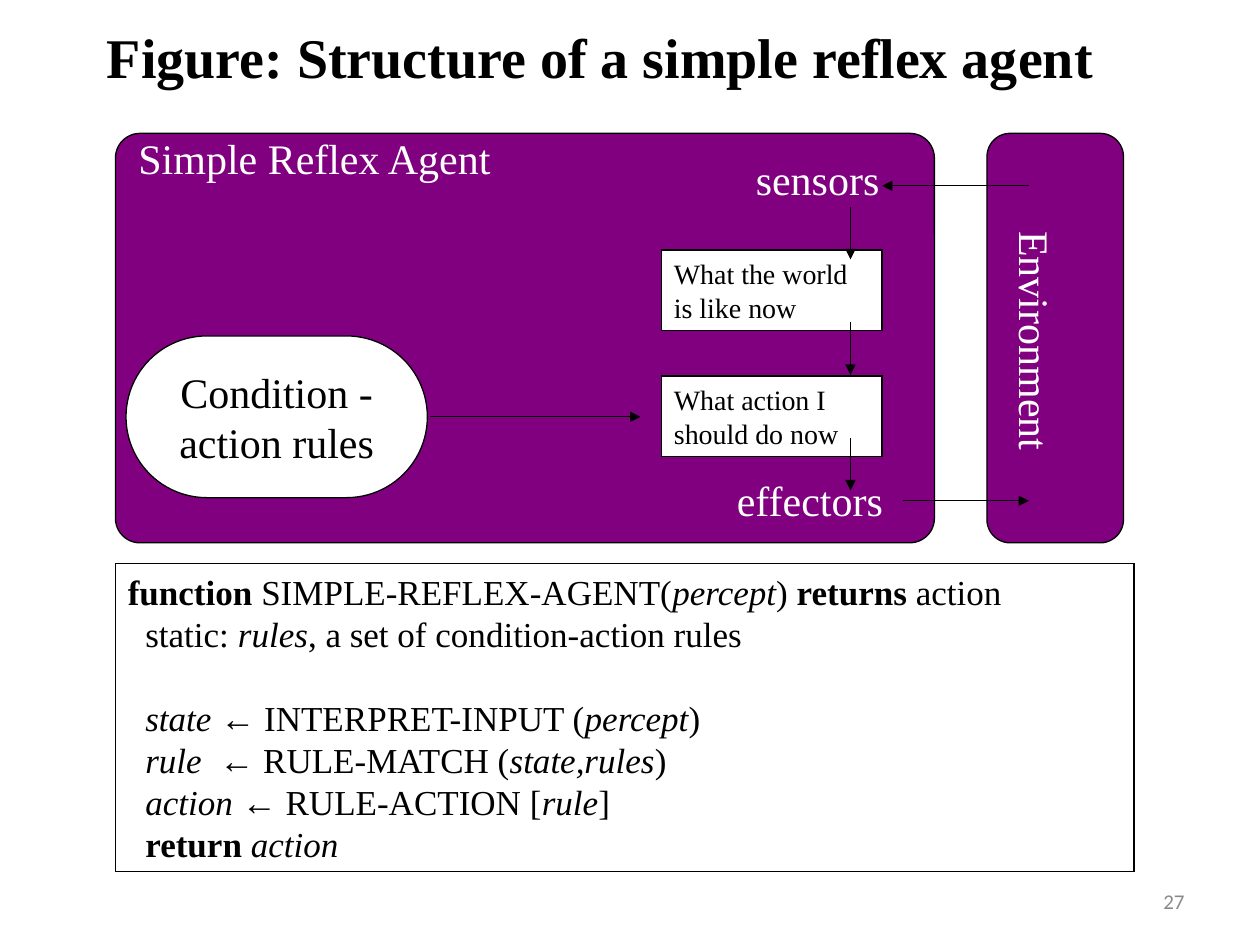
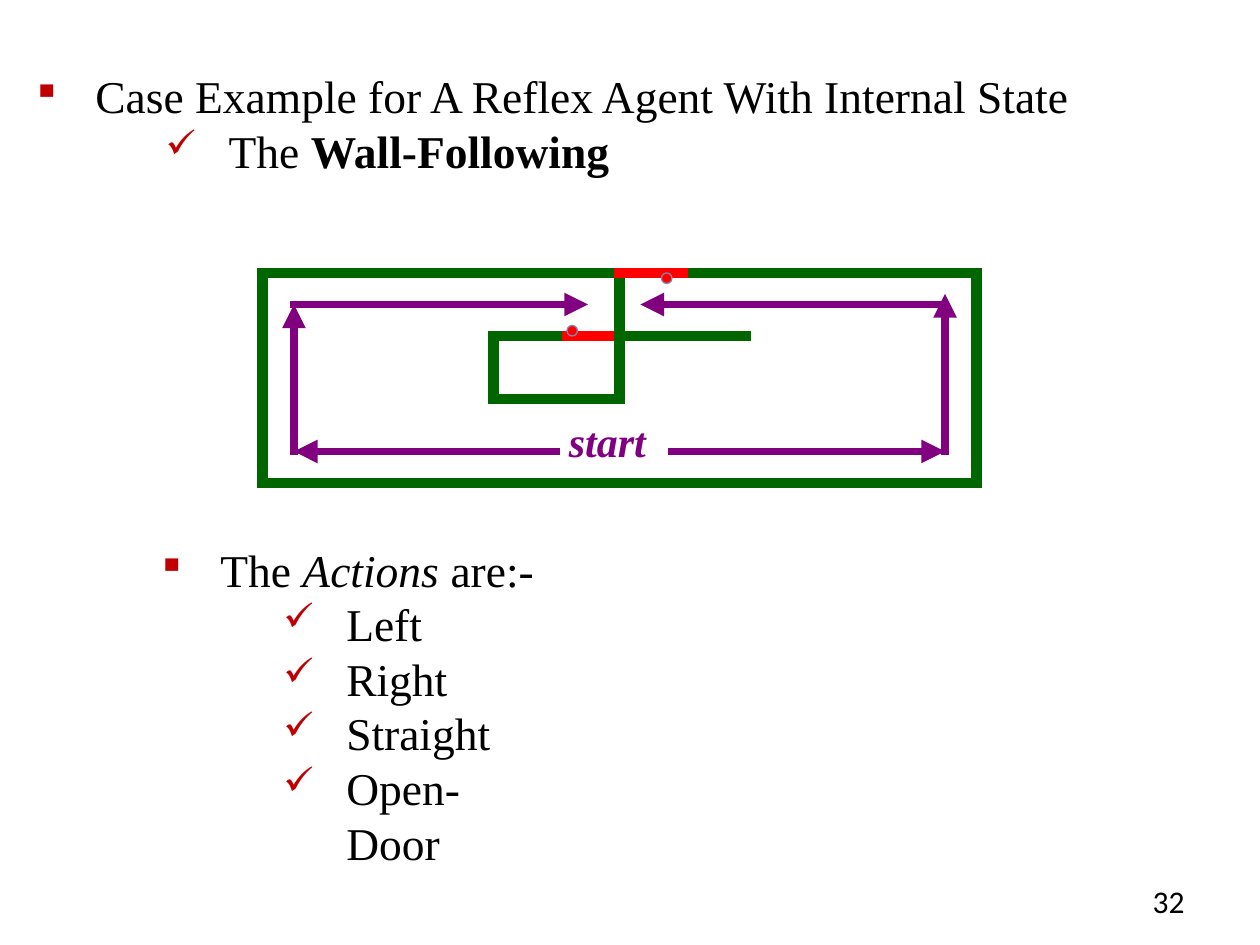
import pptx
import pptx.util
import pptx.dml.color
import pptx.enum.shapes
import pptx.enum.text
import pptx.oxml.ns
from lxml import etree

PX = 7620
RGB = pptx.dml.color.RGBColor
BLACK = RGB(0x00, 0x00, 0x00)
WHITE = RGB(0xFF, 0xFF, 0xFF)
PURPLE = RGB(0x80, 0x00, 0x80)
GREEN = RGB(0x00, 0x66, 0x00)
RED = RGB(0xFF, 0x00, 0x00)
CRIMSON = RGB(0xC0, 0x00, 0x00)
GREY = RGB(0x89, 0x89, 0x89)
KNOB_EDGE = RGB(0x83, 0x83, 0xAD)
SERIF = "Times New Roman"
SHAPE = pptx.enum.shapes.MSO_SHAPE
ANCHOR = pptx.enum.text.MSO_ANCHOR
ALIGN = pptx.enum.text.PP_ALIGN
SQUARE, TICK = "▪", "✓"


def px(*lengths):
    return [pptx.util.Emu(length * PX) for length in lengths]


def sub(parent, tag, **attributes):
    return etree.SubElement(parent, pptx.oxml.ns.qn(tag), attributes)


def add_bullet(paragraph, bullet, margin):
    properties = paragraph._p.get_or_add_pPr()
    properties.set("marL", str(margin * PX))
    properties.set("indent", str(-60 * PX))
    sub(sub(properties, "a:buClr"), "a:srgbClr", val=str(CRIMSON))
    sub(properties, "a:buSzPct", val="85000")
    sub(properties, "a:buChar", char=bullet)


def write_runs(paragraph, runs):
    for words, style in runs:
        run = paragraph.add_run()
        run.text = words
        if "b" in style:
            run.font.bold = True
        if "i" in style:
            run.font.italic = True
        if "a" in style:
            run.font.name = "Arial"


def write(shape, paragraphs, size, color=BLACK, font=SERIF, align=ALIGN.LEFT,
          anchor=ANCHOR.TOP, wrap=True, bullets=(), gaps={}):
    frame = shape.text_frame
    frame.word_wrap = wrap
    frame.vertical_anchor = anchor
    for index, runs in enumerate(paragraphs):
        paragraph = frame.paragraphs[0] if index == 0 else frame.add_paragraph()
        paragraph.alignment = align
        if index in gaps:
            paragraph.space_before = pptx.util.Pt(gaps[index])
        if bullets:
            add_bullet(paragraph, *bullets[index])
        paragraph.font.name = font
        paragraph.font.size = pptx.util.Pt(size)
        paragraph.font.color.rgb = color
        write_runs(paragraph, [(runs, "")] if isinstance(runs, str) else runs)


def add_text(slide, box, paragraphs, size, **options):
    label = slide.shapes.add_textbox(*px(*box))
    write(label, paragraphs, size, **options)
    return label


def add_box(slide, kind, box, fill=None, edge=BLACK, weight=0.75, corner=None):
    shape = slide.shapes.add_shape(kind, *px(*box))
    shape.shadow.inherit = False
    if fill is None:
        shape.fill.background()
    else:
        shape.fill.solid()
        shape.fill.fore_color.rgb = fill
    shape.line.color.rgb = edge
    shape.line.width = pptx.util.Pt(weight)
    sub(shape.line._get_or_add_ln(), "a:miter", lim="800000")
    if corner is not None:
        shape.adjustments[0] = corner
    return shape


def add_line(slide, origin, ends, color=BLACK, weight=0.75, arrow=False):
    left, top = origin
    x1, y1, x2, y2 = ends
    line = slide.shapes.add_connector(
        pptx.enum.shapes.MSO_CONNECTOR.STRAIGHT,
        *px(left + x1, top + y1, left + x2, top + y2))
    line.line.color.rgb = color
    line.line.width = pptx.util.Pt(weight)
    outline = line.line._get_or_add_ln()
    if weight > 1:
        outline.set("cap", "sq")
    if arrow:
        sub(outline, "a:tailEnd", type="triangle")
    sub(line._element.spPr, "a:effectLst")
    return line


def within(origin, box):
    left, top, width, height = box
    return origin[0] + left, origin[1] + top, width, height


def page_number(slide, number, size, color):
    add_text(slide, (860, 834, 280, 48), [number], size, color=color,
             font="Calibri", align=ALIGN.RIGHT, anchor=ANCHOR.MIDDLE)


def agent_diagram(slide, origin):
    add_box(slide, SHAPE.ROUNDED_RECTANGLE, within(origin, (0, 0, 780, 390)),
            PURPLE, corner=0.06)
    add_box(slide, SHAPE.ROUNDED_RECTANGLE, within(origin, (830, 0, 130, 390)),
            PURPLE, corner=0.17)
    labels = [("Simple Reflex Agent", (10, -7, 361, 60)),
              ("sensors", (598, 13, 142, 60)),
              ("effectors", (580, 319, 180, 60)),
              ("Environment", (760, 168, 233, 60))]
    for words, box in labels:
        label = add_text(slide, within(origin, box), [words], 24, color=WHITE,
                         wrap=words == "effectors")
    label.rotation = 90
    for step, question in enumerate(["What the world is like now",
                                     "What action I should do now"]):
        state = add_box(slide, SHAPE.RECTANGLE,
                        within(origin, (520, 111 + 120 * step, 210, 77)), WHITE)
        write(state, [question], 16, anchor=ANCHOR.MIDDLE)
    rules = add_box(slide, SHAPE.ROUNDED_RECTANGLE,
                    within(origin, (10, 193, 287, 154)), WHITE, corner=0.5)
    write(rules, ["Condition - action rules"], 24, align=ALIGN.CENTER,
          anchor=ANCHOR.MIDDLE)
    flows = [(700, top, 700, top + 50) for top in range(70, 291, 110)]
    flows += [(300, 270, 500, 270), (870, 50, 730, 50), (750, 350, 870, 350)]
    for ends in flows:
        add_line(slide, origin, ends, arrow=True)


def agent_function(slide, box):
    listing = add_box(slide, SHAPE.RECTANGLE, box)
    arrow = ("←", "a")
    write(listing, [
        [("function", "b"), (" SIMPLE-REFLEX-AGENT(", ""), ("percept", "i"),
         (") ", ""), ("returns", "b"), (" action", "")],
        [("  static: ", ""), ("rules", "i"),
         (", a set of condition-action rules", "")],
        [("  ", ""), ("state ", "i"), arrow, (" INTERPRET-INPUT (", ""),
         ("percept", "i"), (")", "")],
        [("  ", ""), ("rule  ", "i"), arrow, (" RULE-MATCH (", ""),
         ("state,rules", "i"), (")", "")],
        [("  ", ""), ("action ", "i"), arrow, (" RULE-ACTION [", ""),
         ("rule", "i"), ("]", "")],
        [("  ", ""), ("return ", "b"), ("action", "i")],
    ], 20, gaps={2: 24})


def wall_map(slide, origin):
    room = add_box(slide, SHAPE.RECTANGLE, within(origin, (0, 0, 680, 200)),
                   edge=GREEN, weight=6)
    spine = add_line(slide, origin, (340, 0, 340, 60), GREEN, 6)
    spine.begin_connect(room, 0)
    add_text(slide, within(origin, (280, 130, 113, 60)), [[("start", "bi")]],
             24, color=PURPLE)
    add_line(slide, origin, (340, 60, 280, 60), RED, 6)
    outer_door = add_line(slide, origin, (400, 0, 340, 0), RED, 6)
    outer_door.end_connect(room, 0)
    for left, top in [(380, 0), (290, 50)]:
        add_box(slide, SHAPE.OVAL, within(origin, (left, top, 10, 10)), RED,
                KNOB_EDGE)
    routes = [(280, 170, 30, 170), (30, 170, 30, 30), (30, 30, 310, 30),
              (390, 170, 650, 170), (650, 170, 650, 20), (650, 30, 360, 30)]
    for ends in routes:
        add_line(slide, origin, ends, PURPLE, 4.5, arrow=True)
    walls = [(340, 60, 460, 60), (220, 120, 340, 120), (220, 60, 280, 60),
             (220, 120, 220, 60), (340, 120, 340, 60)]
    for ends in walls:
        add_line(slide, origin, ends, GREEN, 6)


def reflex_agent_slide(slide):
    agent_diagram(slide, (110, 127))
    agent_function(slide, (110, 537, 970, 293))
    add_text(slide, (90, 16, 974, 77),
             [[("Figure: Structure of a simple reflex agent", "b")]], 32)
    page_number(slide, "27", 12, GREY)


def wall_following_slide(slide):
    add_text(slide, (19, 42, 1124, 150),
             ["Case Example for A Reflex Agent With Internal State",
              [("The ", ""), ("Wall-Following", "b")]], 26,
             anchor=ANCHOR.MIDDLE, bullets=[(SQUARE, 60), (TICK, 187)])
    wall_map(slide, (250, 260))
    actions = ["Left", "Right", "Straight", "Open-Door"]
    add_text(slide, (138, 510, 401, 272),
             [[("The ", ""), ("Actions ", "i"), ("are:-", "")]] + actions, 26,
             bullets=[(SQUARE, 60)] + [(TICK, 180)] * len(actions))
    page_number(slide, "32", 18, BLACK)


def main():
    deck = pptx.Presentation()
    deck.slide_width, deck.slide_height = px(1200, 900)
    for build in (reflex_agent_slide, wall_following_slide):
        build(deck.slides.add_slide(deck.slide_layouts[6]))
    deck.save("out.pptx")


if __name__ == "__main__":
    main()
